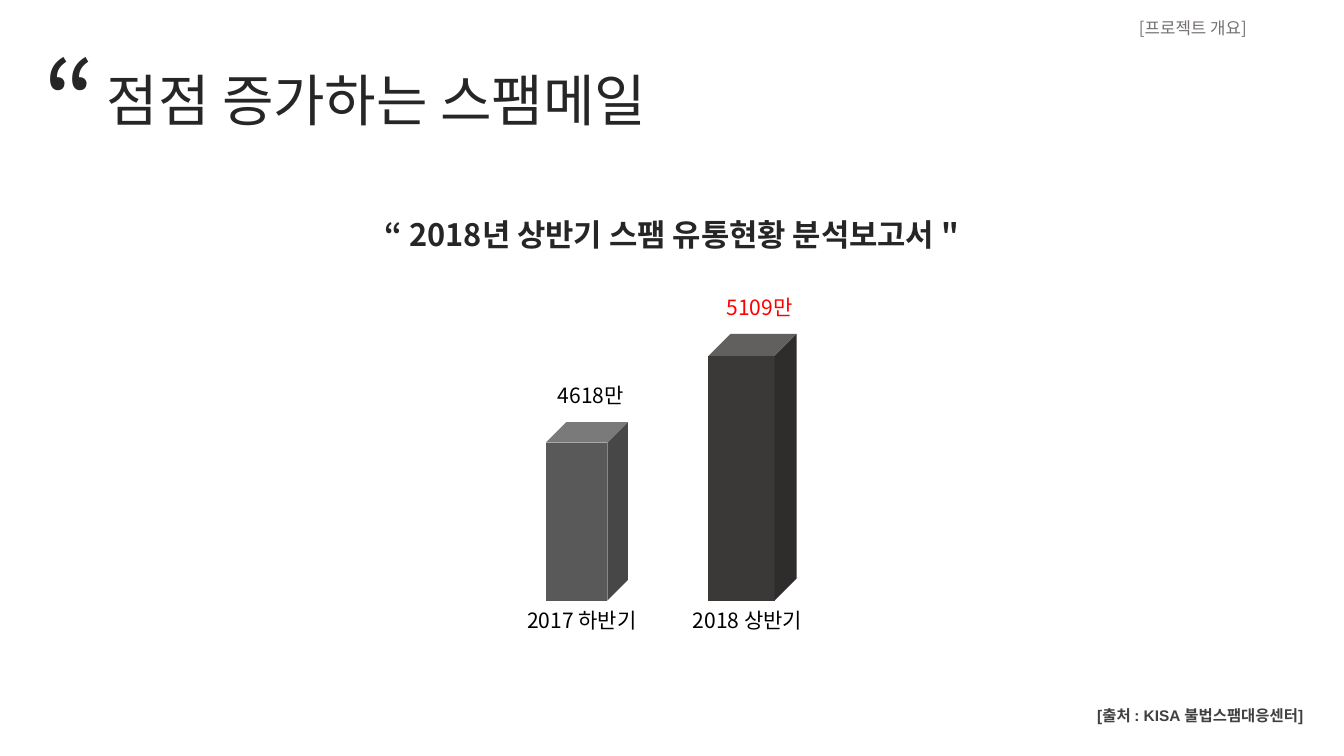
from pptx import Presentation
from pptx.dml.color import RGBColor as RGB
from pptx.enum.shapes import MSO_SHAPE as Shape
from pptx.enum.text import MSO_ANCHOR as Anchor, MSO_AUTO_SIZE as Fit, PP_ALIGN as Align
from pptx.oxml.ns import qn
from pptx.util import Pt
from lxml import etree

INK = RGB(0x26, 0x26, 0x26)
BLACK = RGB(0x00, 0x00, 0x00)
RED = RGB(0xFF, 0x00, 0x00)
SOFT = RGB(0x40, 0x40, 0x40)
PALE = RGB(0x76, 0x71, 0x71)
GRAY = RGB(0x59, 0x59, 0x59)
DARK = RGB(0x3B, 0x38, 0x38)
NOTO = "Noto Sans CJK KR"


def style(shape, text, size, color, bold=False, align=Align.LEFT,
          face=NOTO, fit=Fit.SHAPE_TO_FIT_TEXT):
    frame = shape.text_frame
    frame.text = text
    frame.word_wrap = True
    frame.auto_size = fit
    frame.vertical_anchor = Anchor.TOP
    line = frame.paragraphs[0]
    line.alignment = align
    font = line.runs[0].font
    font.size, font.bold, font.name = Pt(size), bold, face
    font.color.rgb = color
    # Hangul takes its face from the East Asian slot
    east = etree.SubElement(line.runs[0]._r.rPr, qn("a:ea"))
    east.set("typeface", NOTO)


def label(slide, box, text, size, color, **look):
    shape = slide.shapes.add_textbox(*map(Pt, box))
    style(shape, text, size, color, **look)
    return shape


def header(slide, left, top):
    # Title with its large quote mark, and the section name
    title = slide.shapes.title
    title.left, title.top = Pt(left + 45), Pt(top + 23)
    title.width, title.height = Pt(479), Pt(55.5)
    style(title, "점점 증가하는 스팸메일", 40, INK)
    title.text_frame.paragraphs[0].line_spacing = 1.0
    label(slide, (left, top, 60, 104.5), "“", 80, INK)
    part = label(slide, (806.5, 11, 144, 34), "[프로젝트 개요]", 12, PALE,
                 align=Align.JUSTIFY, fit=Fit.NONE)
    part.text_frame.paragraphs[0].line_spacing = 0.9


def bar(slide, left, base, width, height, fill, value, ink, name):
    # One cube with its value above and its period below
    cube = slide.shapes.add_shape(
        Shape.CUBE, Pt(left), Pt(base - height), Pt(width), Pt(height))
    cube.shadow.inherit = False
    cube.fill.solid()
    cube.fill.fore_color.rgb = fill
    cube.line.fill.background()
    label(slide, (left + width - 57, base - height - 32, 75, 25.5),
          value, 15, ink)
    label(slide, (left + width / 2 - 54.5, base + 1.5, 102, 25.5),
          name, 15, BLACK, align=Align.CENTER)


def report(slide, left, top, width):
    # Report heading and the two bars on one base line
    label(slide, (left, top, width, 34), "“ 2018년 상반기 스팸 유통현황 분석보고서 \"",
          22, INK, bold=True, align=Align.CENTER)
    base = top + 278.5
    bar(slide, left + 166, base, 58.5, 127.5, GRAY, "4618만", BLACK, "2017 하반기")
    bar(slide, left + 282, base, 63, 190.5, DARK, "5109만", RED, "2018 상반기")


def source(slide, box):
    label(slide, box, "[출처 : KISA 불법스팸대응센터]", 11, SOFT,
          bold=True, align=Align.RIGHT, face="Arial")


def main():
    deck = Presentation()
    deck.slide_width, deck.slide_height = Pt(960), Pt(540)
    slide = deck.slides.add_slide(deck.slide_layouts[5])
    header(slide, 24, 20)
    report(slide, 224, 150.5, 512)
    source(slide, (720, 500.5, 218, 20.5))
    deck.save("out.pptx")


if __name__ == "__main__":
    main()
